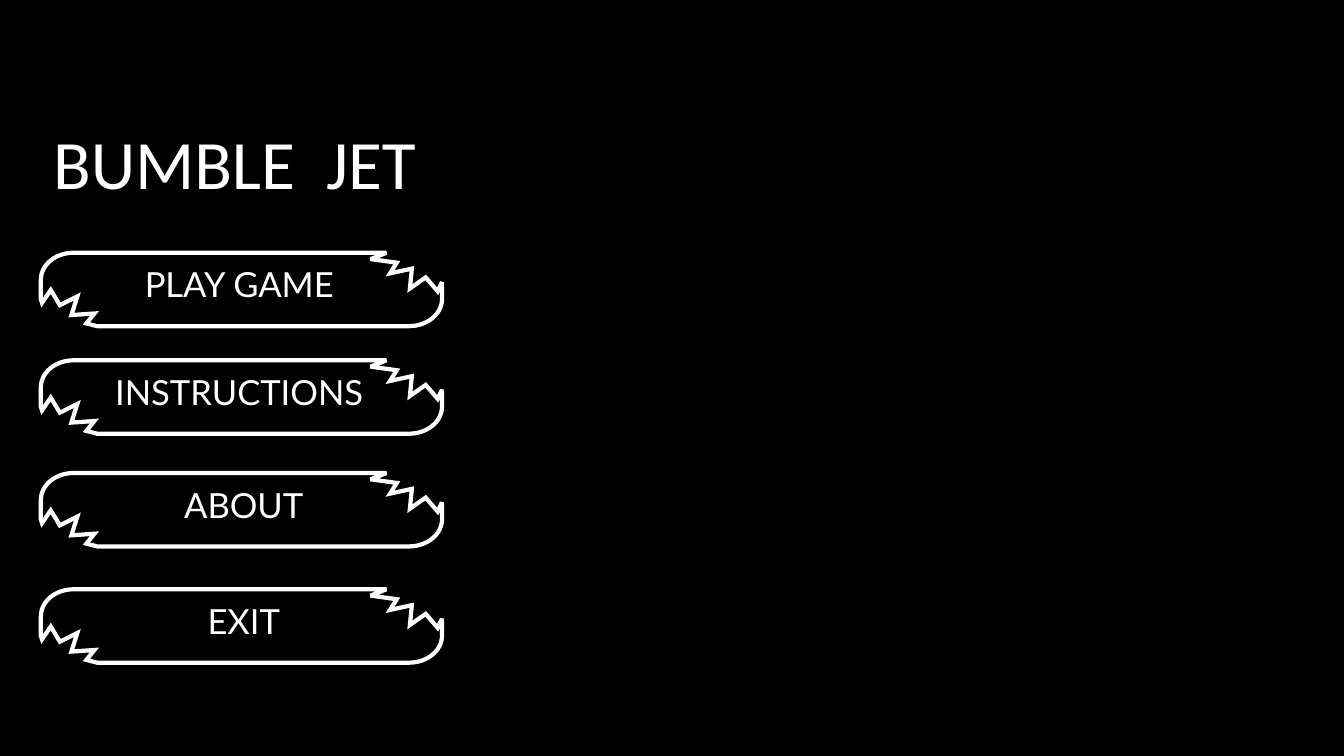
from lxml.etree import SubElement
from pptx import Presentation
from pptx.dml.color import RGBColor
from pptx.enum.shapes import MSO_SHAPE as Preset
from pptx.enum.text import MSO_ANCHOR as Anchor, MSO_AUTO_SIZE as AutoSize, PP_ALIGN as Align
from pptx.oxml.ns import qn
from pptx.util import Cm, Pt

BLACK = RGBColor(0, 0, 0)
WHITE = RGBColor(255, 255, 255)

CURVE_STEPS = 16
TOP_RIGHT_TEAR = [
    (8.71, 0), (8.31, 0.16), (8.97, 0.25), (8.8, 0.52), (9.35, 0.4),
    (9.3, 0.9), (9.7, 0.62), (10, 0.97), (10.11, 0.74),
]
BOTTOM_RIGHT_CORNER = [(10.11, 1.17), (10.11, 1.55), (9.73, 1.85), (9.28, 1.85)]
BOTTOM_LEFT_TEAR = [
    (1.42, 1.85), (1.15, 1.78), (1.35, 1.53), (0.77, 1.57), (0.92, 1.1),
    (0.48, 1.32), (0.25, 0.94), (0.03, 1.26), (0, 1.17),
]
TOP_LEFT_CORNER = [(0, 0.69), (0, 0.3), (0.37, 0), (0.83, 0)]

BUTTONS = [
    ("INSTRUCTIONS ", 1.07, 9.12, 9.08),
    ("ABOUT", 1.04, 11.91, 11.92),
    ("PLAY GAME ", 1.04, 6.35, 6.37),
    ("EXIT", 1.09, 14.86, 14.85),
]


def draw_torn_button(shapes, left, top):
    points = list(TOP_RIGHT_TEAR)
    for corner, tear in ((BOTTOM_RIGHT_CORNER, BOTTOM_LEFT_TEAR), (TOP_LEFT_CORNER, [])):
        for step in range(CURVE_STEPS + 1):
            t = step / CURVE_STEPS
            weights = ((1 - t) ** 3, 3 * t * (1 - t) ** 2, 3 * t * t * (1 - t), t ** 3)
            points.append(tuple(
                sum(weight * point[axis] for weight, point in zip(weights, corner))
                for axis in (0, 1)
            ))
        points += tear
    corners = [(Cm(x), Cm(y)) for x, y in points]
    builder = shapes.build_freeform(*corners[0])
    builder.add_line_segments(corners[1:], close=True)
    shape = builder.convert_to_shape(Cm(left), Cm(top))
    shape.shadow.inherit = False
    return shape


def add_label(shapes, text, left, top, width, height, font, size, align, anchor):
    box = shapes.add_textbox(Cm(left), Cm(top), Cm(width), Cm(height))
    frame = box.text_frame
    frame.word_wrap = True
    frame.auto_size = AutoSize.SHAPE_TO_FIT_TEXT
    frame.vertical_anchor = anchor
    para = frame.paragraphs[0]
    para.alignment = align
    span = para.add_run()
    span.text = text
    span.font.name = font
    span.font.size = Pt(size)
    span.font.color.rgb = WHITE


deck = Presentation()
deck.slide_width = Cm(33.87)
deck.slide_height = Cm(19.05)
page = deck.slides.add_slide(deck.slide_layouts[6])

backdrop = page.shapes.add_shape(Preset.RECTANGLE, Cm(-0.25), Cm(-0.18), Cm(34.59), Cm(20.19))
backdrop.shadow.inherit = False
backdrop.fill.solid()
backdrop.fill.fore_color.rgb = BLACK
backdrop.line.color.rgb = BLACK
backdrop.line.width = Pt(1)

for caption, plate_left, plate_top, outline_top in BUTTONS:
    plate = draw_torn_button(page.shapes, plate_left, plate_top)
    plate.fill.solid()
    plate.fill.fore_color.rgb = BLACK
    plate.line.fill.background()
    plate_color = plate.fill._xPr.find(qn("a:solidFill")).find(qn("a:srgbClr"))
    SubElement(plate_color, qn("a:alpha"), val="51000")

    group = page.shapes.add_group_shape()
    outline = draw_torn_button(group.shapes, 1.03, outline_top)
    outline.fill.background()
    outline.line.color.rgb = WHITE
    outline.line.width = Pt(3)
    SubElement(outline.line._ln, qn("a:miter"), lim="800000")
    add_label(group.shapes, caption, 1.09, outline_top + 0.13, 10.11, 1.32,
              "Lato", 24.7, Align.CENTER, Anchor.MIDDLE)

add_label(page.shapes, "BUMBLE  JET", 1.09, 2.9, 16.89, 2.36,
          "Calibri", 49.5, Align.LEFT, Anchor.TOP)

deck.save("out.pptx")
